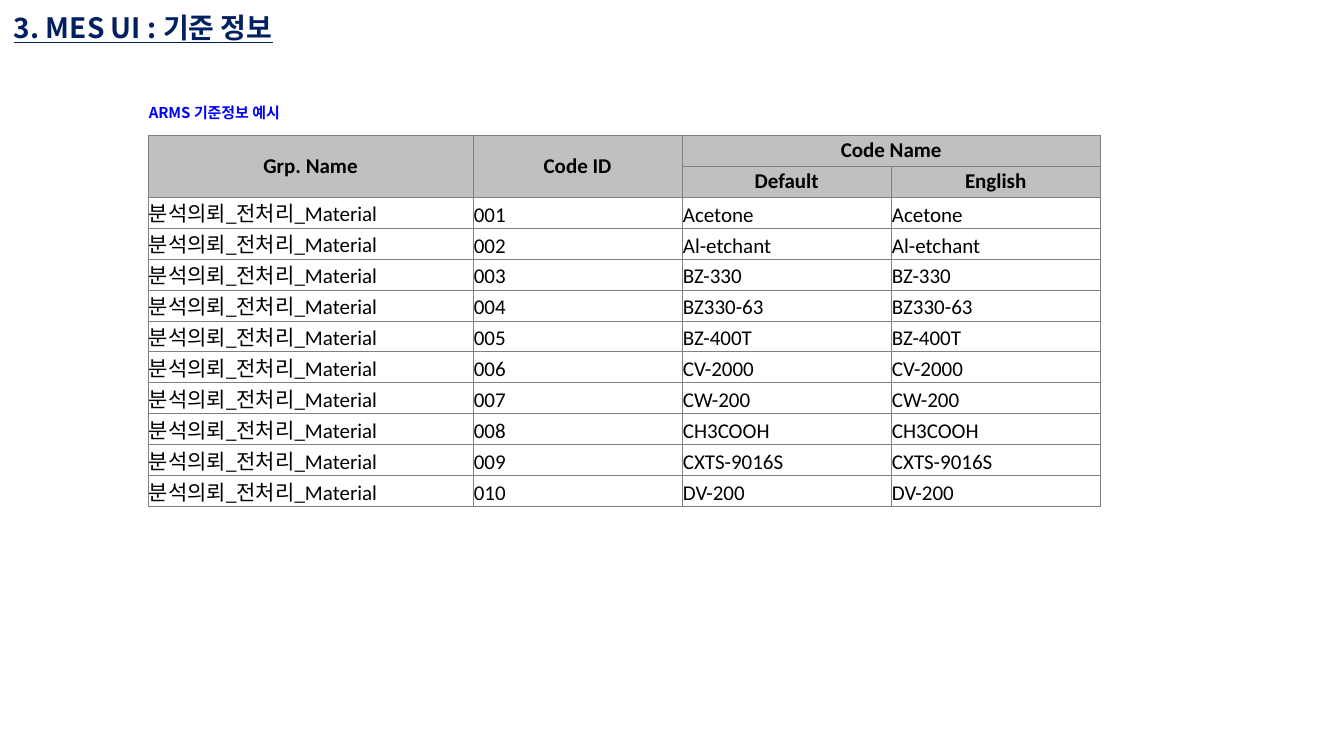
from lxml import etree
from pptx import Presentation
from pptx.dml.color import RGBColor
from pptx.enum.text import MSO_ANCHOR, MSO_AUTO_SIZE, PP_ALIGN
from pptx.oxml.ns import qn
from pptx.util import Cm, Pt

TITLE = "3. MES UI : 기준 정보"
CAPTION = "ARMS 기준정보 예시"
GROUP = "분석의뢰_전처리_Material"
HEADERS = [  # row, column, last row, last column, label
    (0, 0, 1, 0, "Grp. Name"),
    (0, 1, 1, 1, "Code ID"),
    (0, 2, 0, 3, "Code Name"),
    (1, 2, 1, 2, "Default"),
    (1, 3, 1, 3, "English"),
]
MATERIALS = [
    "Acetone", "Al-etchant", "BZ-330", "BZ330-63", "BZ-400T",
    "CV-2000", "CW-200", "CH3COOH", "CXTS-9016S", "DV-200",
]

HEADER_ROWS = 2
COLUMN_WIDTHS = [8.19, 5.27, 5.27, 5.27]
ROW_HEIGHT = 0.78
TABLE_LEFT, TABLE_TOP = 3.73, 3.4
CELL_INSET = 0.02

NAVY = RGBColor(0x00, 0x20, 0x60)
BLUE = RGBColor(0x00, 0x00, 0xFF)
BLACK = RGBColor(0x00, 0x00, 0x00)
SILVER = RGBColor(0xC0, 0xC0, 0xC0)
GRAY = RGBColor(0x80, 0x80, 0x80)
KOREAN_FONT = "Noto Sans CJK KR"
TABLE_FONT = "Calibri"

LEFT, CENTER = PP_ALIGN.LEFT, PP_ALIGN.CENTER
MIDDLE, BOTTOM = MSO_ANCHOR.MIDDLE, MSO_ANCHOR.BOTTOM
FIT_SHAPE = MSO_AUTO_SIZE.SHAPE_TO_FIT_TEXT


def write(frame, text, size, color, font=KOREAN_FONT, bold=False,
          underline=False, align=LEFT):
    para = frame.paragraphs[0]
    para.alignment = align
    span = para.add_run()
    span.text = text
    span.font.size = Pt(size)
    span.font.name = font
    span.font.bold = bold
    span.font.underline = underline
    span.font.color.rgb = color
    east_asian = etree.SubElement(span.font._element, qn("a:ea"))
    east_asian.set("typeface", KOREAN_FONT)


def add_label(page, text, left, top, width, height, inset=None, wrap=True,
              **text_format):
    box = page.shapes.add_textbox(Cm(left), Cm(top), Cm(width), Cm(height))
    frame = box.text_frame
    frame.word_wrap = wrap
    frame.auto_size = FIT_SHAPE
    if inset is not None:
        frame.margin_left = frame.margin_right = Cm(inset)
        frame.margin_top = frame.margin_bottom = Cm(inset)
    write(frame, text, **text_format)


def style_cell(cell, is_header):
    """Set the insets, anchor, thin gray borders and fill of a cell."""
    cell.margin_left = cell.margin_right = cell.margin_top = Cm(CELL_INSET)
    cell.margin_bottom = 0
    cell.vertical_anchor = MIDDLE if is_header else BOTTOM
    properties = cell._tc.get_or_add_tcPr()
    for side in ("a:lnL", "a:lnR", "a:lnT", "a:lnB"):
        line = etree.SubElement(properties, qn(side), w=str(Pt(0.25)))
        fill = etree.SubElement(line, qn("a:solidFill"))
        etree.SubElement(fill, qn("a:srgbClr"), val=str(GRAY))
    if is_header:
        cell.fill.solid()
        cell.fill.fore_color.rgb = SILVER
    else:
        cell.fill.background()


def add_code_table(page):
    row_count = HEADER_ROWS + len(MATERIALS)
    table = page.shapes.add_table(
        row_count, len(COLUMN_WIDTHS), Cm(TABLE_LEFT), Cm(TABLE_TOP),
        Cm(sum(COLUMN_WIDTHS)), Cm(ROW_HEIGHT * row_count)).table
    table.first_row = table.horz_banding = False
    for column, width in zip(table.columns, COLUMN_WIDTHS):
        column.width = Cm(width)
    for index, row in enumerate(table.rows):
        row.height = Cm(ROW_HEIGHT)
        for cell in row.cells:
            style_cell(cell, index < HEADER_ROWS)

    for top, left, bottom, right, label in HEADERS:
        cell = table.cell(top, left)
        if (top, left) != (bottom, right):
            cell.merge(table.cell(bottom, right))
        write(cell.text_frame, label, 15, BLACK, TABLE_FONT, bold=True,
              align=CENTER)
    for number, material in enumerate(MATERIALS, start=1):
        values = (GROUP, f"{number:03}", material, material)
        for column, value in enumerate(values):
            cell = table.cell(HEADER_ROWS + number - 1, column)
            write(cell.text_frame, value, 15, BLACK, TABLE_FONT)


def main():
    deck = Presentation()
    deck.slide_width, deck.slide_height = Cm(33.87), Cm(19.05)
    page = deck.slides.add_slide(deck.slide_layouts[6])
    add_label(page, TITLE, 0.1, 0.13, 8.64, 1.12,
              size=20, color=NAVY, bold=True, underline=True)
    add_code_table(page)
    add_label(page, CAPTION, TABLE_LEFT, 2.59, 3.53, 0.48, inset=CELL_INSET,
              wrap=False, size=10.7, color=BLUE, bold=True)
    deck.save("out.pptx")


if __name__ == "__main__":
    main()
